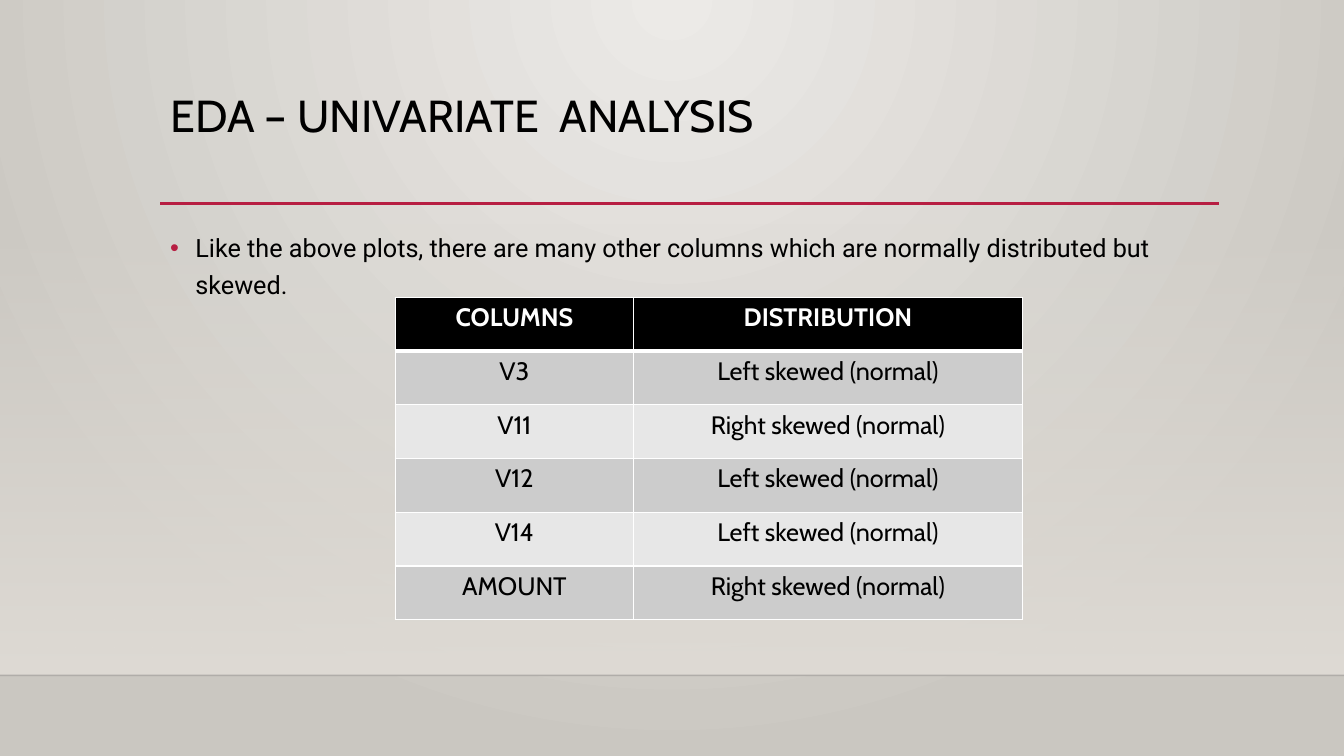
import pptx
import pptx.dml.color
import pptx.enum.shapes
import pptx.enum.text
import pptx.oxml
import pptx.oxml.ns
import pptx.util

WIDE, HIGH = 13.33, 7.5
LEFT, SPAN = 1.59, 10.5
FLOOR = 6.7
HEAD, BODY = "Cabin", "Roboto"
BLACK, WHITE, RED = "000000", "FFFFFF", "B71E42"
BANDS = ("CCCCCC", "E7E7E7")
ROWS = [
    ("COLUMNS", "DISTRIBUTION"),
    ("V3", "Left skewed (normal)"),
    ("V11", "Right skewed (normal)"),
    ("V12", "Left skewed (normal)"),
    ("V14", "Left skewed (normal)"),
    ("AMOUNT", "Right skewed (normal)"),
]
inch = pptx.util.Inches
qn = pptx.oxml.ns.qn


def color(code):
    return pptx.dml.color.RGBColor.from_string(code)


def parse(xml):
    """Read one drawing element, adding the namespace to its first tag."""
    space = ' xmlns:a="http://schemas.openxmlformats.org/drawingml/2006/main"'
    cut = min(i for i in (xml.find(" "), xml.find(">"), xml.find("/>")) if i > 0)
    return pptx.oxml.parse_xml(xml[:cut] + space + xml[cut:])


def blend(fill, root, stops, way):
    """Set a gradient of (place, colour, opacity) stops along the given way."""
    fill.gradient()
    grad = next(root.iter(qn("a:gradFill")))
    for child in list(grad):
        grad.remove(child)
    marks = "".join(
        f'<a:gs pos="{place * 1000}"><a:srgbClr val="{code}">'
        f'<a:alpha val="{alpha * 1000}"/></a:srgbClr></a:gs>'
        for place, code, alpha in stops)
    grad.append(parse(f"<a:gsLst>{marks}</a:gsLst>"))
    grad.append(parse(way))


def rule(slide, left, top, width, code, weight, alpha=100):
    line = slide.shapes.add_connector(
        pptx.enum.shapes.MSO_CONNECTOR.STRAIGHT,
        inch(left), inch(top), inch(left + width), inch(top))
    line.line.color.rgb = color(code)
    line.line.width = pptx.util.Pt(weight)
    props = line.element.spPr
    props.append(parse("<a:effectLst/>"))
    if alpha < 100:
        next(props.iter(qn("a:srgbClr"))).append(
            parse(f'<a:alpha val="{alpha * 1000}"/>'))


def style(para, size, face, code, bold=False):
    para.font.size = pptx.util.Pt(size)
    para.font.name = face
    para.font.bold = bold
    para.font.color.rgb = color(code)


def write(slide, box, text, size, face, space):
    frame = slide.shapes.add_textbox(*map(inch, box)).text_frame
    frame.word_wrap = True
    para = frame.paragraphs[0]
    para.text = text
    para.line_spacing = space
    style(para, size, face, BLACK)
    return para


def scene(slide):
    """Paint the wall, the fading band and the floor edge."""
    blend(slide.background.fill, slide.element,
          [(0, "ECEAE7", 100), (100, "CAC7C1", 100)],
          '<a:path path="circle"><a:fillToRect l="43000" t="0" '
          'r="43000" b="100000"/></a:path>')
    top = 2.21
    band = slide.shapes.add_shape(
        pptx.enum.shapes.MSO_SHAPE.RECTANGLE,
        0, inch(top), inch(WIDE), inch(FLOOR - top))
    band.shadow.inherit = False
    band.line.fill.background()
    blend(band.fill, band.element.spPr,
          [(0, "DFDBD5", 0), (100, "DFDBD5", 100)],
          '<a:lin ang="5400000" scaled="0"/>')
    rule(slide, 0, FLOOR, WIDE, "000001", 1, 20)


def title(slide, box, text):
    left, top, width, height = box
    rule(slide, left, top + height, width, RED, 2.5)
    write(slide, box, text, 32, HEAD, 0.9)


def point(slide, box, text):
    para = write(slide, box, text, 18, BODY, 1.2)
    para.space_before = pptx.util.Pt(10)
    props = para._p.get_or_add_pPr()
    props.set("marL", str(inch(0.25)))
    props.set("indent", str(-inch(0.25)))
    props.append(parse(f'<a:buClr><a:srgbClr val="{RED}"/></a:buClr>'))
    props.append(parse('<a:buFont typeface="Arial"/>'))
    props.append(parse('<a:buChar char="•"/>'))
    props.append(props.find(qn("a:defRPr")))


def border(cell, base):
    """Draw white cell edges, with the given weight at the bottom."""
    props = cell._tc.get_or_add_tcPr()
    for spot, side in enumerate("LRTB"):
        weight = pptx.util.Pt(base if side == "B" else 1)
        props.insert(spot, parse(
            f'<a:ln{side} w="{weight}"><a:solidFill>'
            f'<a:srgbClr val="{WHITE}"/></a:solidFill></a:ln{side}>'))


def grid(slide, box, rows, shares):
    table = slide.shapes.add_table(
        len(rows), len(shares), *map(inch, box)).table
    for col, share in zip(table.columns, shares):
        col.width = inch(box[2] * share)
    for r, row in enumerate(rows):
        top = r == 0
        for c, text in enumerate(row):
            cell = table.cell(r, c)
            cell.fill.solid()
            cell.fill.fore_color.rgb = color(BLACK if top else BANDS[(r - 1) % 2])
            border(cell, 3 if top else 1)
            para = cell.text_frame.paragraphs[0]
            para.text = text
            para.alignment = pptx.enum.text.PP_ALIGN.CENTER
            style(para, 18, HEAD, WHITE if top else BLACK, top)


def main():
    deck = pptx.Presentation()
    deck.slide_width, deck.slide_height = inch(WIDE), inch(HIGH)
    slide = deck.slides.add_slide(deck.slide_layouts[6])
    scene(slide)
    title(slide, (LEFT, 0.88, SPAN, 1.14), "EDA – UNIVARIATE  ANALYSIS")
    point(slide, (LEFT, 2.2, SPAN, 3.77),
          "Like the above plots, there are many other columns which are "
          "normally distributed but skewed.")
    grid(slide, (3.92, 2.95, 6.22, 3.2), ROWS, (0.38, 0.62))
    deck.save("out.pptx")


if __name__ == "__main__":
    main()
